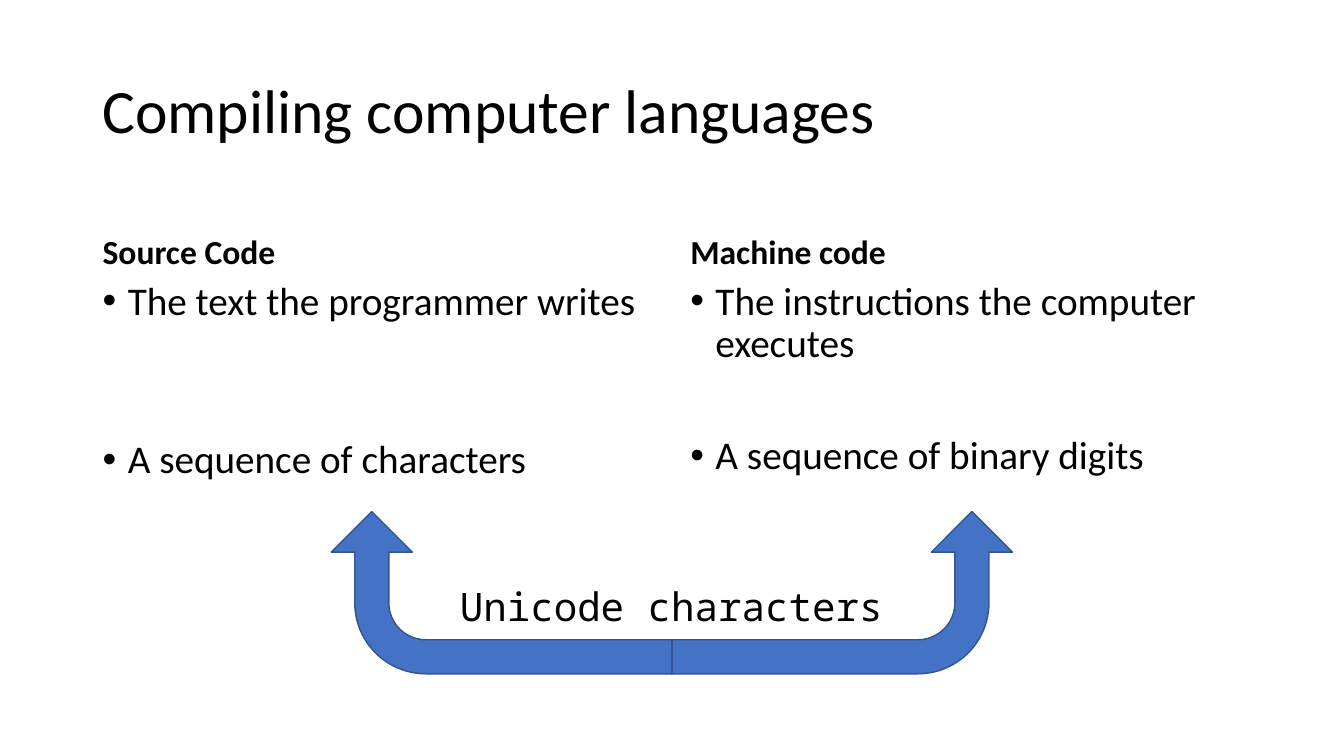
from lxml import etree
from pptx import Presentation
from pptx.dml.color import RGBColor
from pptx.enum import shapes, text
from pptx.oxml import ns
from pptx.util import Pt

HUES = {"ink": "000000", "fill": "4472C4", "edge": "325491"}
SANS, MONO = "Calibri", "Noto Sans Mono"
TOP, MID, LOW = text.MSO_ANCHOR.TOP, text.MSO_ANCHOR.MIDDLE, text.MSO_ANCHOR.BOTTOM


def hue(name):
    """Return a named colour."""
    return RGBColor.from_string(HUES[name])


def add_box(slide, place, lines, size, face=SANS, bold=False, anchor=TOP):
    """Add a wrapped text box and return its paragraphs."""
    frame = slide.shapes.add_textbox(*map(Pt, place)).text_frame
    frame.word_wrap = True
    frame.vertical_anchor = anchor
    frame.text = "\n".join(lines)
    for para in frame.paragraphs:
        para.font.name = face
        para.font.size = Pt(size)
        para.font.bold = bold
        para.font.color.rgb = hue("ink")
    return frame.paragraphs


def add_mark(para):
    """Give a paragraph a bullet with a hanging indent."""
    props = para._p.get_or_add_pPr()
    props.set("marL", str(Pt(18)))
    props.set("indent", str(Pt(-18)))
    font = etree.SubElement(props, ns.qn("a:buFont"))
    font.set("typeface", "Arial")
    etree.SubElement(props, ns.qn("a:buChar")).set("char", "•")


def add_side(slide, left, wide, head, points, gap):
    """Add a column with a heading and two bullets set apart by a gap."""
    title, = add_box(slide, (left, 132.4, wide, 64.9), [head], 24,
                     bold=True, anchor=LOW)
    title.line_spacing = 0.9
    paras = add_box(slide, (left, 197.3, wide, 290.1), points, 28)
    for para, space in zip(paras, (10, gap)):
        para.line_spacing = 0.9
        para.space_before = Pt(space)
        add_mark(para)


def add_arrow(slide, left, flip=False):
    """Add one half of the double arrow, mirrored on request."""
    arrow = slide.shapes.add_shape(shapes.MSO_SHAPE.BENT_ARROW, Pt(left),
                                   Pt(301.7), Pt(115.9), Pt(243.3))
    arrow.shadow.inherit = False
    arrow.rotation = 270
    for spot, value in enumerate((0.21, 0.25, 0.25, 0.438)):
        arrow.adjustments[spot] = value
    arrow.fill.solid()
    arrow.fill.fore_color.rgb = hue("fill")
    arrow.line.color.rgb = hue("edge")
    arrow.line.width = Pt(1)
    if flip:
        arrow._element.spPr.xfrm.set("flipV", "1")


def main():
    """Build and save the slide."""
    deck = Presentation()
    deck.slide_width, deck.slide_height = Pt(960), Pt(540)
    slide = deck.slides.add_slide(deck.slide_layouts[6])
    title, = add_box(slide, (66.2, 28.8, 828, 104.4),
                     ["Compiling computer languages"], 44, anchor=MID)
    title.line_spacing = 0.9
    add_side(slide, 66.2, 406, "Source Code",
             ["The text the programmer writes", "A sequence of characters"], 83)
    add_side(slide, 486, 408.2, "Machine code",
             ["The instructions the computer executes",
              "A sequence of binary digits"], 50)
    label, = add_box(slide, (253.4, 412.6, 452.2, 41),
                     ["Unicode characters"], 28, MONO)
    label.alignment = text.PP_ALIGN.CENTER
    add_arrow(slide, 543.6, flip=True)
    add_arrow(slide, 300.3)
    deck.save("out.pptx")


if __name__ == "__main__":
    main()
